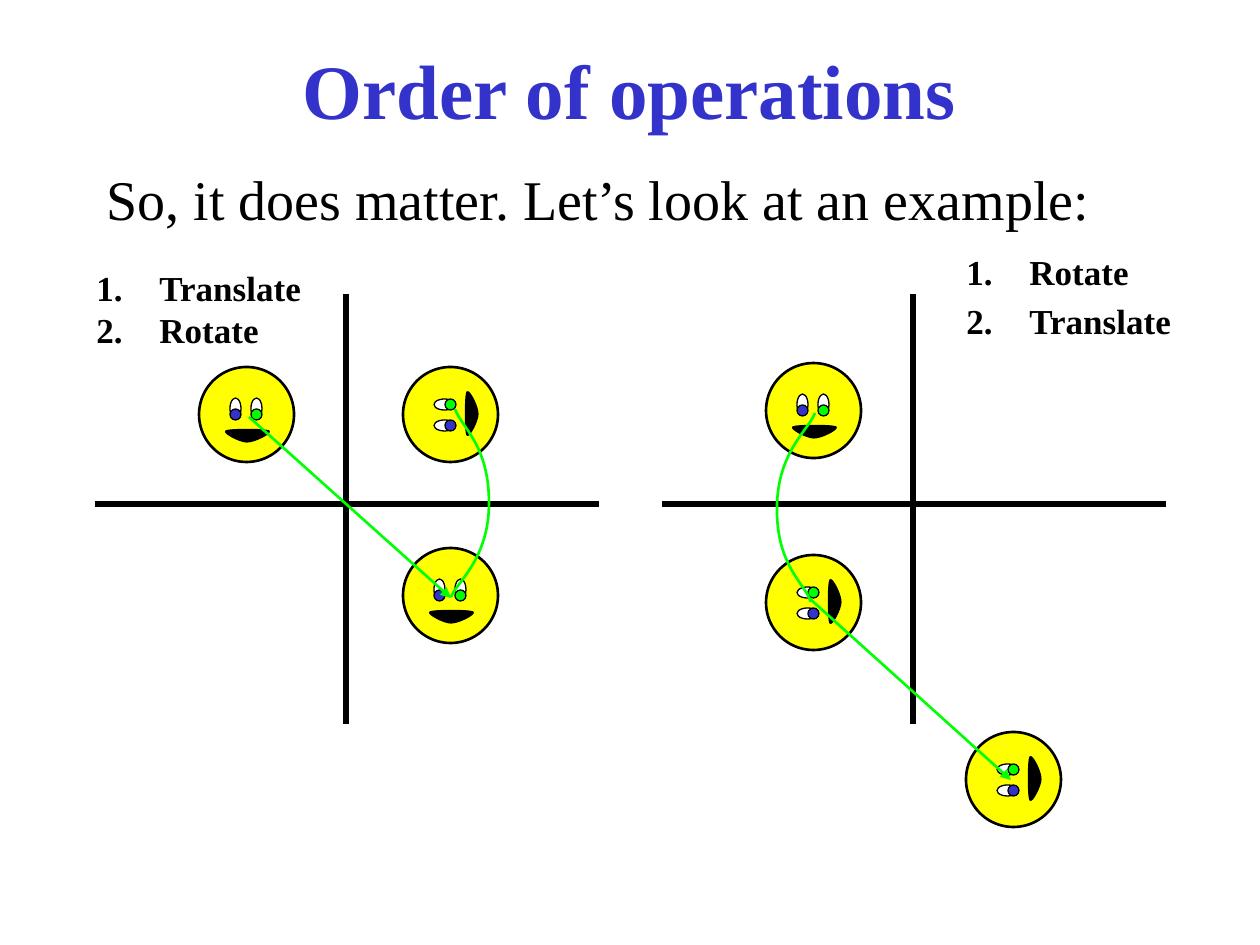
from dataclasses import dataclass

from lxml.etree import SubElement
from pptx import Presentation
from pptx.dml.color import RGBColor
from pptx.enum.shapes import MSO_CONNECTOR, MSO_SHAPE
from pptx.enum.text import MSO_ANCHOR, MSO_AUTO_SIZE, PP_ALIGN
from pptx.oxml.ns import qn
from pptx.util import Emu, Pt

Point = tuple[int, int]
Box = tuple[int, int, int, int]


@dataclass(frozen=True)
class Theme:
    font: str = "Times New Roman"
    black: str = "000000"
    white: str = "FFFFFF"
    blue: str = "3333CC"
    green: str = "00FF00"
    yellow: str = "FFFF00"
    title: int = 44
    body: int = 32
    step: int = 20
    thin: float = 0.75
    edge: float = 1.5
    axis: float = 3


@dataclass(frozen=True)
class Face:
    left: int
    top: int
    turn: int = 0


@dataclass(frozen=True)
class Trip:
    axis: int
    first: list[Face]
    arrow: tuple[Point, Point]
    last: list[Face]
    curve: list[Point]
    box: Box
    steps: tuple[str, str]
    pitch: int


THEME = Theme()
HEAD = 95
EYE = 11
EYES = [(31, THEME.blue), (52, THEME.green)]
MOUTH = [(27, 64), (24, 66), (41, 75), (48, 75), (56, 75),
         (73, 66), (70, 64), (66, 62), (31, 62), (27, 64)]
TRIPS = [
    Trip(346, [Face(199, 367), Face(403, 548)], ((249, 417), (451, 598)),
         [Face(403, 367, 270)],
         [(451, 597), (457, 582), (489, 559), (489, 503),
          (489, 445), (462, 428), (455, 409)],
         (84, 260, 232, 97), ("Translate", "Rotate"), 24),
    Trip(913, [Face(766, 363), Face(766, 555, 270), Face(966, 732, 270)],
         ((809, 598), (1011, 780)), [],
         [(815, 413), (809, 430), (777, 452), (777, 509),
          (777, 566), (804, 582), (811, 602)],
         (954, 244, 243, 105), ("Rotate", "Translate"), 28),
]


def px(n: int) -> Emu:
    return Emu(round(n * 914400 / 126))


def rgb(tone: str) -> RGBColor:
    return RGBColor.from_string(tone)


def paint(shape, fill: str | None, line: str, width: float) -> None:
    shape.shadow.inherit = False
    if fill:
        shape.fill.solid()
        shape.fill.fore_color.rgb = rgb(fill)
    else:
        shape.fill.background()
    shape.line.color.rgb = rgb(line)
    shape.line.width = Pt(width)


def oval(shapes, box: Box, fill: str, width: float) -> None:
    shape = shapes.add_shape(MSO_SHAPE.OVAL, *map(px, box))
    paint(shape, fill, THEME.black, width)


def bezier(shapes, points: list[Point], fill: str | None,
           line: str, width: float) -> None:
    spots = [(px(x), px(y)) for x, y in points]
    maker = shapes.build_freeform(*spots[0])
    maker.add_line_segments(spots[1:], close=bool(fill))
    shape = maker.convert_to_shape()
    parts = list(shape._element.iter(qn("a:lnTo")))
    for i in range(0, len(parts), 3):
        trio = parts[i:i + 3]
        curve = trio[0].makeelement(qn("a:cubicBezTo"))
        trio[0].addprevious(curve)
        for part in trio:
            curve.append(part[0])
            part.getparent().remove(part)
    paint(shape, fill, line, width)


def line(shapes, start: Point, end: Point, tone: str,
         width: float, arrow: bool = False) -> None:
    link = shapes.add_connector(
        MSO_CONNECTOR.STRAIGHT, *map(px, (*start, *end)))
    link.line.color.rgb = rgb(tone)
    link.line.width = Pt(width)
    if arrow:
        SubElement(link.line._get_or_add_ln(), qn("a:tailEnd"), type="triangle")
    SubElement(link._element.spPr, qn("a:effectLst"))


def face(shapes, spot: Face) -> None:
    group = shapes.add_group_shape()
    x, y = spot.left, spot.top
    oval(group.shapes, (x, y, HEAD, HEAD), THEME.yellow, THEME.edge)
    bezier(group.shapes, [(x + dx, y + dy) for dx, dy in MOUTH],
           THEME.black, THEME.black, THEME.thin)
    for dx, _ in EYES:
        oval(group.shapes, (x + dx, y + 31, EYE, 21), THEME.white, THEME.thin)
    for dx, tone in EYES:
        oval(group.shapes, (x + dx, y + 42, EYE, EYE), tone, THEME.thin)
    group.rotation = spot.turn


def axes(shapes, mid: int) -> None:
    group = shapes.add_group_shape()
    line(group.shapes, (mid, 294), (mid, 724), THEME.black, THEME.axis)
    line(group.shapes, (mid - 251, 504), (mid + 253, 504),
         THEME.black, THEME.axis)


def place(shape, box: Box) -> None:
    shape.left, shape.top, shape.width, shape.height = map(px, box)
    shape.text_frame.word_wrap = True
    shape.text_frame.auto_size = MSO_AUTO_SIZE.NONE


def write(para, text: str, size: int, tone: str, bold: bool) -> None:
    run = para.add_run()
    run.text = text
    font = run.font
    font.name, font.size, font.bold = THEME.font, Pt(size), bold
    font.color.rgb = rgb(tone)


def textbox(shapes, box: Box):
    shape = shapes.add_textbox(0, 0, 0, 0)
    place(shape, box)
    return shape.text_frame


def steps(shapes, trip: Trip) -> None:
    frame = textbox(shapes, trip.box)
    for i, text in enumerate(trip.steps):
        para = frame.add_paragraph() if i else frame.paragraphs[0]
        props = para._p.get_or_add_pPr()
        props.set("marL", str(px(63)))
        props.set("indent", str(-px(63)))
        SubElement(props, qn("a:buAutoNum"), type="arabicPeriod")
        para.line_spacing = Pt(trip.pitch if i else 24)
        write(para, text, THEME.step, THEME.black, True)


def main() -> None:
    deck = Presentation()
    deck.slide_width, deck.slide_height = px(1260), px(945)
    slide = deck.slides.add_slide(deck.slide_layouts[5])
    shapes = slide.shapes
    title = shapes.title
    place(title, (94, 42, 1071, 94))
    title.text_frame.vertical_anchor = MSO_ANCHOR.MIDDLE
    para = title.text_frame.paragraphs[0]
    para.alignment = PP_ALIGN.CENTER
    write(para, "Order of operations", THEME.title, THEME.blue, True)
    body = textbox(shapes, (94, 158, 1071, 63))
    write(body.paragraphs[0], "So, it does matter. Let’s look at an example:",
          THEME.body, THEME.black, False)
    for trip in TRIPS:
        axes(shapes, trip.axis)
        for spot in trip.first:
            face(shapes, spot)
        line(shapes, *trip.arrow, THEME.green, THEME.edge, True)
        for spot in trip.last:
            face(shapes, spot)
        bezier(shapes, trip.curve, None, THEME.green, THEME.edge)
        steps(shapes, trip)
    deck.save("out.pptx")


if __name__ == "__main__":
    main()
